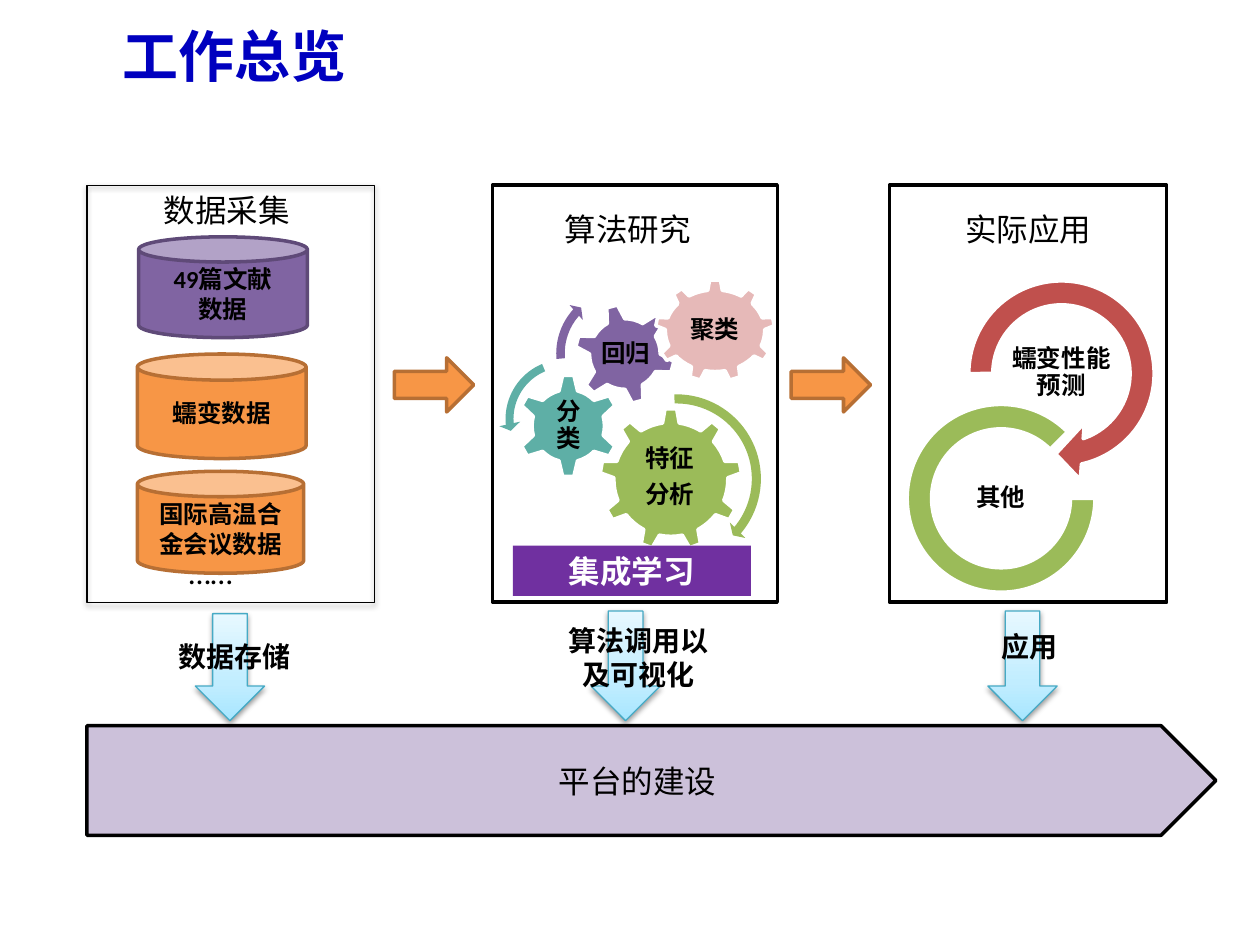
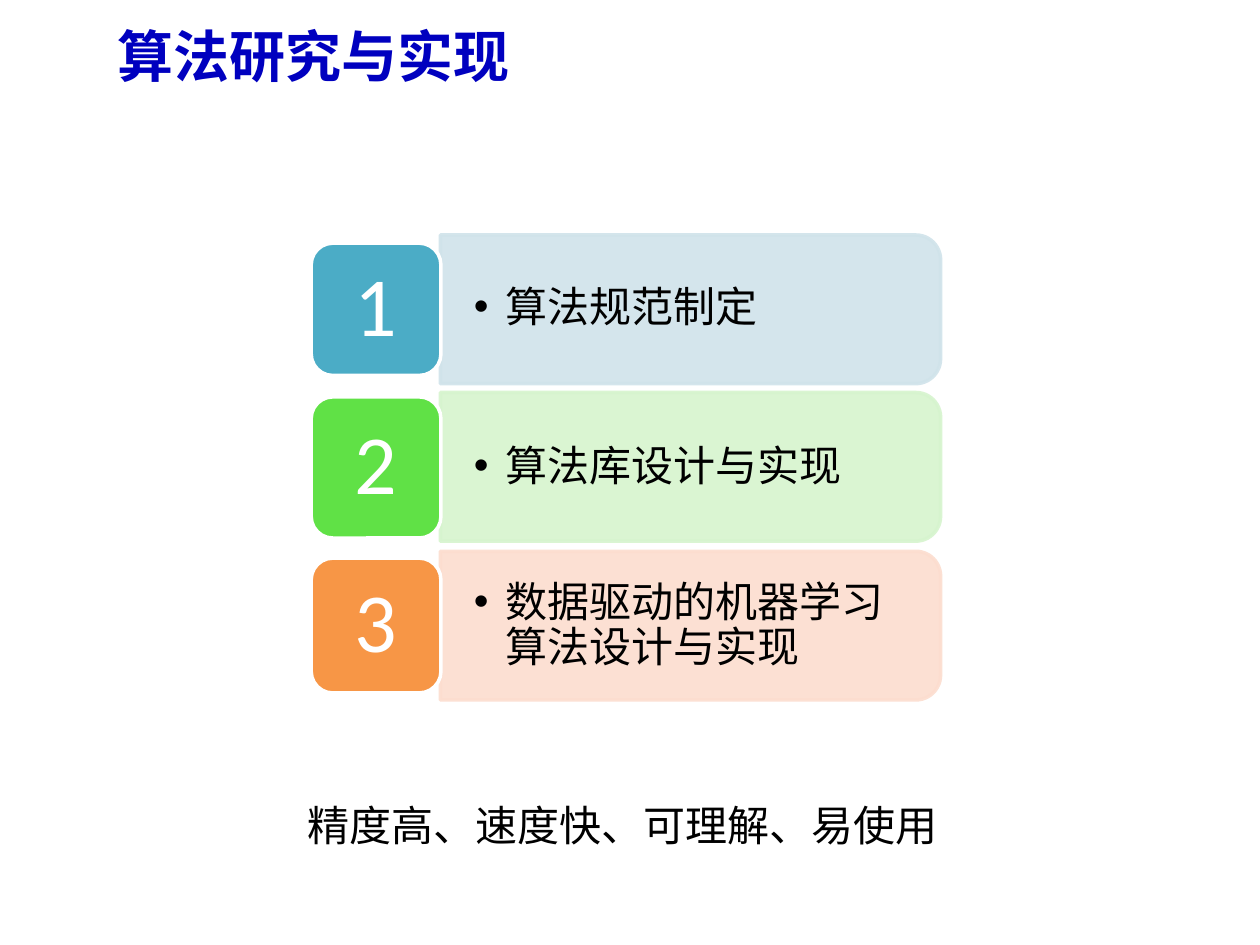
from dataclasses import dataclass, field
from typing import Any

from lxml import etree
from pptx import Presentation
from pptx.dml.color import RGBColor
from pptx.enum.shapes import MSO_SHAPE
from pptx.enum.text import MSO_ANCHOR, MSO_AUTO_SIZE, PP_ALIGN
from pptx.oxml.ns import qn
from pptx.util import Emu, Pt

RECT = MSO_SHAPE.RECTANGLE
CAN = MSO_SHAPE.CAN
PLATE = MSO_SHAPE.PENTAGON
RIGHT = MSO_SHAPE.RIGHT_ARROW
DOWN = MSO_SHAPE.DOWN_ARROW
GEAR6 = MSO_SHAPE.GEAR_6
GEAR9 = MSO_SHAPE.GEAR_9
CURVE = MSO_SHAPE.CIRCULAR_ARROW
BACK = MSO_SHAPE.LEFT_CIRCULAR_ARROW
ARC = MSO_SHAPE.BLOCK_ARC
ROUND = MSO_SHAPE.ROUNDED_RECTANGLE
BAR = MSO_SHAPE.ROUND_2_SAME_RECTANGLE
TOP, MIDDLE = MSO_ANCHOR.TOP, MSO_ANCHOR.MIDDLE
LEFT, CENTER = PP_ALIGN.LEFT, PP_ALIGN.CENTER
FIXED = MSO_AUTO_SIZE.NONE

SCALE = 9144
LATIN, HAN = "Calibri", "Noto Sans CJK SC"
COLORS = {
    "black": "000000", "white": "FFFFFF", "title": "0000BF",
    "orange": "F79646", "rust": "B76F34", "purple": "8064A2", "plum": "5F4A78",
    "lilac": "CCC1DA", "green": "9BBB59", "teal": "5EAFA6", "red": "C0504D",
    "pink": "E6B9B8", "violet": "7030A0", "edge": "46AAC5",
    "sky": "A7E6FF", "pale": "C1EDFF", "ice": "E7F8FF",
    "blue": "4BACC6", "lime": "60E146",
    "mist": "D0E3EA", "mint": "D6F4CE", "peach": "FCDDCF",
}
FADE = (("sky", 0), ("pale", 35000), ("ice", 100000))


@dataclass
class Part:
    kind: Any
    left: int
    top: int
    wide: int
    high: int
    fill: str = ""
    line: str = ""
    width: float = 2
    turn: int = 0
    bends: tuple[float, ...] = ()
    alpha: int = 100
    shade: bool = False
    words: str = ""
    form: dict[str, Any] = field(default_factory=dict)


def px(count: int) -> Emu:
    return Emu(count * SCALE)


def color(name: str) -> RGBColor:
    return RGBColor.from_string(COLORS[name])


def write(frame: Any, words: str, *, size: int = 18, ink: str = "black",
          bold: bool = False, align: Any = CENTER, anchor: Any = MIDDLE,
          pad: tuple[int, int] = (10, 5), lead: float = 1, gaps: tuple[float, ...] = (),
          face: str = LATIN, east: str = HAN, bullet: bool = False) -> None:
    frame.word_wrap = True
    frame.auto_size = FIXED
    frame.vertical_anchor = anchor
    frame.margin_left = frame.margin_right = px(pad[0])
    frame.margin_top = frame.margin_bottom = px(pad[1])
    for rank, line in enumerate(words.split("\n")):
        para = frame.add_paragraph() if rank else frame.paragraphs[0]
        para.alignment = align
        para.line_spacing = lead
        para.space_before = Pt(gaps[rank] if gaps else 0)
        para.space_after = Pt(0)
        if bullet:
            props = para._p.get_or_add_pPr()
            props.set("marL", str(px(25)))
            props.set("indent", str(px(-25)))
            etree.SubElement(props, qn("a:buChar")).set("char", "•")
        run = para.add_run()
        run.text = line
        run.font.size = Pt(size)
        run.font.bold = bold
        run.font.name = face
        run.font.color.rgb = color(ink)
        etree.SubElement(run._r.get_or_add_rPr(), qn("a:ea")).set("typeface", east)


def tint(owner: Any, name: str, **marks: int) -> Any:
    node = etree.SubElement(owner, qn("a:srgbClr"))
    node.set("val", COLORS[name])
    for mark, value in marks.items():
        etree.SubElement(node, qn(f"a:{mark}")).set("val", str(value))
    return node


def fade(shape: Any) -> None:
    shape.fill.gradient()
    shape.fill.gradient_angle = 90
    stops = shape._element.spPr.find(f".//{qn('a:gsLst')}")
    for stop in list(stops):
        stops.remove(stop)
    for name, place in FADE:
        stop = etree.SubElement(stops, qn("a:gs"))
        stop.set("pos", str(place))
        tint(stop, name)


def shadow(shape: Any) -> None:
    glow = shape._element.spPr.find(qn("a:effectLst"))
    drop = etree.SubElement(glow, qn("a:outerShdw"))
    for key, value in {"blurRad": 40000, "dist": 20000, "dir": 5400000, "rotWithShape": 0}.items():
        drop.set(key, str(value))
    tint(drop, "black", alpha=38000)


def draw(slide: Any, part: Part) -> None:
    place = [px(side) for side in (part.left, part.top, part.wide, part.high)]
    if part.kind is None:
        write(slide.shapes.add_textbox(*place).text_frame, part.words, **part.form)
        return
    shape = slide.shapes.add_shape(part.kind, *place)
    shape.shadow.inherit = False
    shape.rotation = part.turn
    for rank, bend in enumerate(part.bends):
        shape.adjustments[rank] = bend
    if part.fill == "fade":
        fade(shape)
    elif part.fill:
        shape.fill.solid()
        shape.fill.fore_color.rgb = color(part.fill)
    else:
        shape.fill.background()
    if part.line:
        shape.line.color.rgb = color(part.line)
        shape.line.width = Pt(part.width)
    else:
        shape.line.fill.background()
    if part.alpha < 100:
        for node in shape._element.spPr.iter(qn("a:srgbClr")):
            etree.SubElement(node, qn("a:alpha")).set("val", str(part.alpha * 1000))
    if part.shade:
        shadow(shape)
    if part.words:
        write(shape.text_frame, part.words, **part.form)


def label(left: int, top: int, wide: int, high: int, words: str, **form: Any) -> Part:
    return Part(None, left, top, wide, high, words=words, form=form)


def store(left: int, top: int, wide: int, high: int, fill: str, line: str, words: str) -> Part:
    return Part(CAN, left, top, wide, high, fill, line, words=words,
                form={"size": 14, "bold": True})


def start(deck: Any, layout: int, words: str, left: int) -> Any:
    slide = deck.slides.add_slide(deck.slide_layouts[layout])
    move(slide.shapes.title, left, 0, 900, 87)
    write(slide.shapes.title.text_frame, words, size=32, ink="title", bold=True,
          align=LEFT, face=HAN)
    return slide


def move(shape: Any, left: int, top: int, wide: int, high: int) -> None:
    shape.left, shape.top, shape.width, shape.height = map(px, (left, top, wide, high))


def survey(deck: Any) -> None:
    slide = start(deck, 5, "工作总览", 87)
    small = {"size": 14, "bold": True, "pad": (2, 2), "lead": 0.9}
    tight = {**small, "pad": (1, 1)}
    note = {"size": 16, "bold": True, "anchor": TOP}
    head = {"anchor": TOP}
    parts = [
        Part(RECT, 69, 147, 228, 331, "", "black", 0.75, shade=True),
        store(109, 281, 134, 83, "orange", "rust", "蠕变数据"),
        store(110, 188, 134, 80, "purple", "plum", "49篇文献\n数据"),
        Part(PLATE, 69, 576, 896, 87, "lilac", "black", words="平台的建设"),
        label(89, 147, 182, 40, "数据采集", **head),
        Part(RECT, 391, 147, 226, 331, "white", "black"),
        label(407, 162, 182, 40, "算法研究", **head),
        Part(RECT, 706, 147, 220, 331, "white", "black"),
        label(725, 162, 182, 40, "实际应用", **head),
        *(Part(RIGHT, left, 284, 63, 43, "orange", "rust") for left in (313, 628)),
        Part(GEAR9, 476, 324, 113, 113, "green", "white"),
        label(498, 350, 67, 58, "特征\n分析", **small, gaps=(0, 5)),
        Part(GEAR6, 410, 297, 82, 82, "teal", "white"),
        label(431, 318, 41, 40, "分类", **small),
        Part(GEAR6, 456, 241, 80, 80, "purple", "white", turn=345),
        label(474, 259, 45, 45, "回归", **small),
        Part(CURVE, 465, 308, 144, 144, "green", bends=(0.05, 2.99, 24.11, 161.11, 0.06)),
        Part(BACK, 396, 280, 105, 105, "teal", bends=(0.06, 4.3, 104.89, 148.38, 0.08)),
        Part(CURVE, 437, 224, 113, 113, "purple", bends=(0.06, 3.94, 133.14, 105.08, 0.07)),
        Part(CURVE, 756, 210, 173, 173, "red", "white", bends=(0.11, 11.42, 45, 108, 0.13)),
        label(794, 272, 97, 48, "蠕变性能预测", **tight),
        Part(ARC, 720, 321, 149, 149, "green", "white", bends=(0, 189, 0.13)),
        label(746, 372, 97, 48, "其他", **tight),
        *(Part(DOWN, left, top, 55, 572 - top, "fade", "edge", 0.75, shade=True)
          for left, top in ((155, 487), (469, 485), (784, 485))),
        label(132, 503, 142, 37, "数据存储", **note, align=LEFT),
        label(436, 490, 142, 64, "算法调用以及可视化", **note),
        label(746, 495, 142, 37, "应用", **note),
        Part(GEAR9, 520, 222, 95, 81, "pink", "white"),
        Part(RECT, 539, 241, 57, 42, "pink", words="聚类", form=small),
        Part(RECT, 407, 433, 189, 40, "violet", words="集成学习",
             form={"bold": True, "ink": "white"}),
        label(140, 434, 65, 40, "……", **head, align=LEFT, east=LATIN),
        store(109, 374, 132, 81, "orange", "rust", "国际高温合金会议数据"),
    ]
    for part in parts:
        draw(slide, part)


def methods(deck: Any) -> None:
    slide = start(deck, 1, "算法研究与实现", 83)
    body = slide.placeholders[1]
    rows = (("mist", "blue", 193, 105), ("mint", "lime", 315, 112), ("peach", "orange", 443, 107))
    for rank, (pale, deep, top, high) in enumerate(rows):
        draw(slide, Part(BAR, 489, 47 + 251 * rank // 2, 118, 397, pale, pale, turn=90, alpha=90))
        draw(slide, Part(ROUND, 247, top, 103, high, deep, "white", words=str(rank + 1),
                         form={"size": 48, "ink": "white", "lead": 0.9}))
    move(body, 349, 200, 392, 360)
    write(body.text_frame, "算法规范制定\n算法库设计与实现\n数据驱动的机器学习算法设计与实现",
          size=24, align=LEFT, pad=(27, 14), lead=0.9, gaps=(0, 65, 52), bullet=True)
    slide.shapes._spTree.append(body._element)
    draw(slide, label(234, 630, 525, 50, "精度高、速度快、可理解、易使用",
                      size=24, align=LEFT, anchor=TOP))


def main() -> None:
    deck = Presentation()
    deck.slide_width, deck.slide_height = px(1000), px(750)
    survey(deck)
    methods(deck)
    deck.save("out.pptx")


if __name__ == "__main__":
    main()
